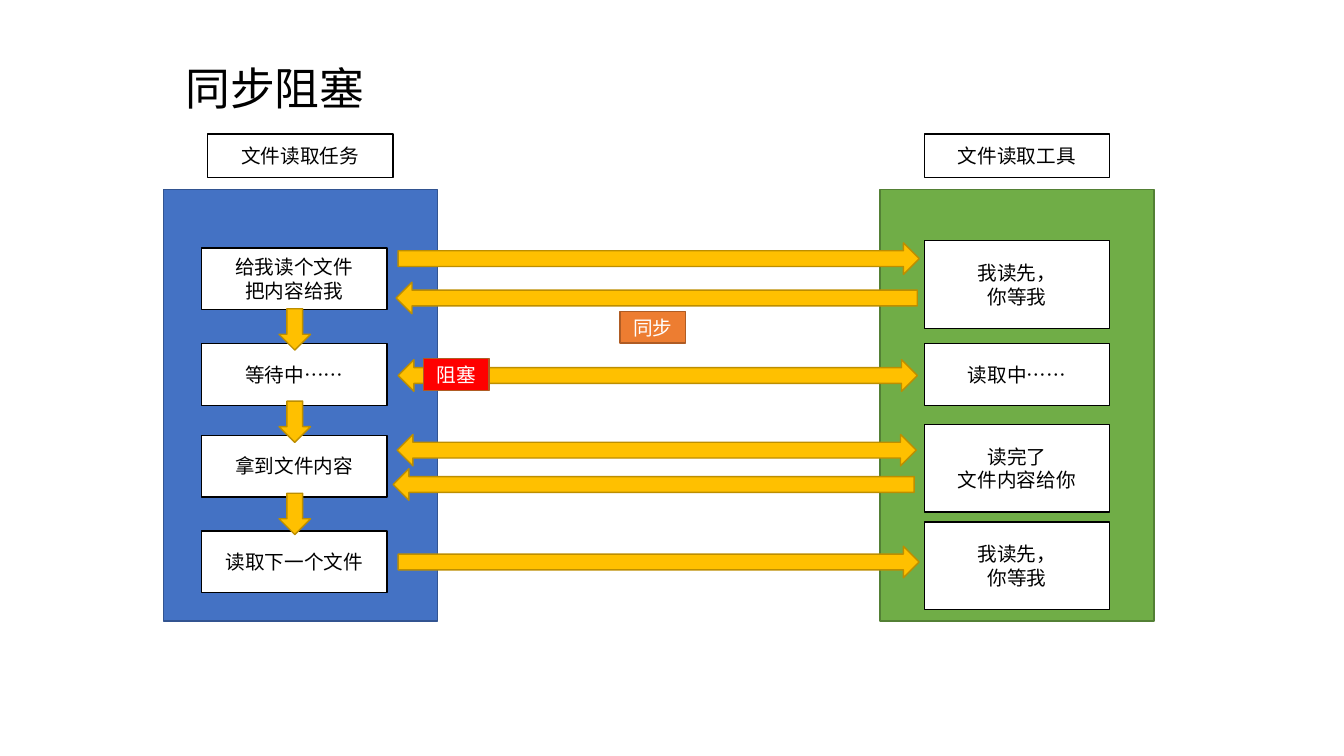
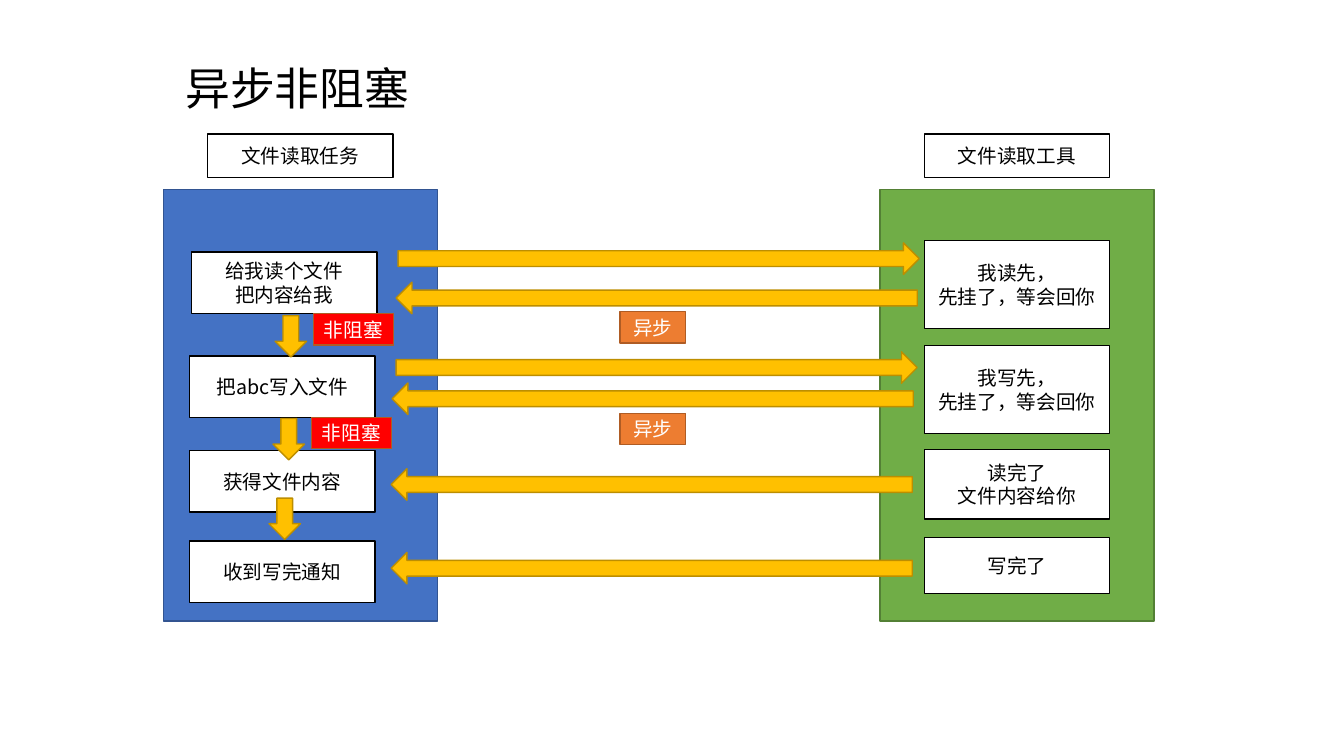
from dataclasses import dataclass

from lxml import etree
from pptx import Presentation
from pptx.dml.color import RGBColor
from pptx.enum.shapes import MSO_SHAPE
from pptx.enum.text import MSO_ANCHOR, MSO_AUTO_SIZE, PP_ALIGN
from pptx.oxml.ns import qn
from pptx.util import Pt

RECTANGLE = MSO_SHAPE.RECTANGLE
RIGHT_ARROW = MSO_SHAPE.RIGHT_ARROW
TWO_WAY_ARROW = MSO_SHAPE.LEFT_RIGHT_ARROW
MIDDLE = MSO_ANCHOR.MIDDLE
GROW = MSO_AUTO_SIZE.SHAPE_TO_FIT_TEXT
CENTER = PP_ALIGN.CENTER
LEFT = PP_ALIGN.LEFT


@dataclass(frozen=True)
class Theme:
    """Colours as (fill, line), type sizes in points."""
    font: str = "Noto Sans CJK SC"
    title_size: int = 32
    body_size: int = 14
    dark: str = "000000"
    light: str = "FFFFFF"
    task: tuple = ("4472C4", "325491")
    tool: tuple = ("70AD47", "538035")
    box: tuple = ("FFFFFF", "000000")
    arrow: tuple = ("FFC000", "BD8E00")
    sync_tag: tuple = ("ED7D31", "AF5C24")
    block_tag: tuple = ("FF0000", "AF5C24")


THEME = Theme()

# Shared measures, in points
BOX_WIDTH = 132.5
TOOL_LEFT = 660.2
TASK_HEIGHT = 44
ARROW_HEIGHT = 22.5
ARROW_WIDTH = 372.2
TWO_WAY_WIDTH = 370.8
STEP_WIDTH = 29.5
CHAR_WIDTH = 10
TAG_PAD = 27


def write_text(shape, lines, size, color, alignment):
    frame = shape.text_frame
    frame.word_wrap = True
    for index, line in enumerate(lines):
        paragraph = frame.paragraphs[0] if index == 0 else frame.add_paragraph()
        paragraph.alignment = alignment
        run = paragraph.add_run()
        run.text = line
        run.font.name = THEME.font
        run.font.size = Pt(size)
        run.font.color.rgb = RGBColor.from_string(color)
        # Chinese characters take the East Asian typeface
        east_asian = etree.SubElement(run.font._element, qn("a:ea"))
        east_asian.set("typeface", THEME.font)


def add_block(slide, preset, left, top, width, height, colors, rotation=0):
    shape = slide.shapes.add_shape(preset, Pt(left), Pt(top), Pt(width), Pt(height))
    fill, line = colors
    shape.fill.solid()
    shape.fill.fore_color.rgb = RGBColor.from_string(fill)
    shape.line.color.rgb = RGBColor.from_string(line)
    shape.line.width = Pt(1)
    shape.shadow.inherit = False
    shape.rotation = rotation
    return shape


def add_label(slide, left, top, width, height, lines, colors=THEME.box, color=THEME.dark):
    shape = add_block(slide, RECTANGLE, left, top, width, height, colors)
    frame = shape.text_frame
    frame.vertical_anchor = MIDDLE
    frame.margin_left = frame.margin_right = Pt(3.6)
    write_text(shape, lines, THEME.body_size, color, CENTER)


def add_tag(slide, left, top, text, colors):
    width = TAG_PAD + CHAR_WIDTH * len(text)
    add_label(slide, left, top, width, ARROW_HEIGHT, [text], colors, THEME.light)


def add_message(slide, direction, left, top):
    preset, width, rotation = {
        "request": (RIGHT_ARROW, ARROW_WIDTH, 0),
        "reply": (RIGHT_ARROW, ARROW_WIDTH, 180),
        "both": (TWO_WAY_ARROW, TWO_WAY_WIDTH, 0),
        "next": (RIGHT_ARROW, STEP_WIDTH, 90),
    }[direction]
    add_block(slide, preset, left, top, width, ARROW_HEIGHT, THEME.arrow, rotation)


def add_frame(slide, title):
    """Title, the two columns and their headings."""
    box = slide.shapes.add_textbox(Pt(125.3), Pt(39.6), Pt(349.2), Pt(46))
    write_text(box, [title], THEME.title_size, THEME.dark, LEFT)
    box.text_frame.auto_size = GROW
    columns = [(116.6, 148.3, "文件读取任务", THEME.task),
               (628.6, TOOL_LEFT, "文件读取工具", THEME.tool)]
    for left, heading_left, heading, colors in columns:
        add_block(slide, RECTANGLE, left, 135.4, 195.8, 308.2, colors)
        add_label(slide, heading_left, 95.8, BOX_WIDTH, 31, [heading])


def add_diagram(presentation, title, tasks, tools, messages, tags):
    slide = presentation.slides.add_slide(presentation.slide_layouts[6])
    add_frame(slide, title)
    for left, top, *lines in tasks:
        add_label(slide, left, top, BOX_WIDTH, TASK_HEIGHT, lines)
    for top, height, *lines in tools:
        add_label(slide, TOOL_LEFT, top, BOX_WIDTH, height, lines)
    for message in messages:
        add_message(slide, *message)
    for tag in tags:
        add_tag(slide, *tag)


def main():
    presentation = Presentation()
    presentation.slide_width = Pt(960)
    presentation.slide_height = Pt(540)

    # The first exchange is the same in both diagrams
    first_exchange = [("request", 284.4, 173.5), ("reply", 283, 201.6)]

    # Synchronous, blocking
    add_diagram(
        presentation, "同步阻塞",
        tasks=[(144, 177.1, "给我读个文件", "把内容给我"),
               (144, 245.5, "等待中……"),
               (144, 311, "拿到文件内容"),
               (144, 379.4, "读取下一个文件")],
        tools=[(172, 62.6, "我读先，", "你等我"),
               (245.5, 44, "读取中……"),
               (303.1, 62.6, "读完了", "文件内容给你"),
               (372.8, 62.6, "我读先，", "你等我")],
        messages=first_exchange + [
            ("both", 284.4, 257), ("both", 283.7, 310.3),
            ("reply", 280.8, 334.8), ("request", 284.4, 390.2),
            ("next", 195.8, 224), ("next", 195.8, 290), ("next", 195.8, 355.8)],
        tags=[(442.8, 222.5, "同步", THEME.sync_tag),
              (302.4, 256.3, "阻塞", THEME.block_tag)])

    # Asynchronous, non-blocking
    add_diagram(
        presentation, "异步非阻塞",
        tasks=[(136.8, 180, "给我读个文件", "把内容给我"),
               (135.4, 254.2, "把abc写入文件"),
               (135.4, 321.8, "获得文件内容"),
               (135.4, 386.6, "收到写完通知")],
        tools=[(172, 62.6, "我读先，", "先挂了，等会回你"),
               (247, 62.6, "我写先，", "先挂了，等会回你"),
               (321.1, 49.7, "读完了", "文件内容给你"),
               (383.8, 40.3, "写完了")],
        messages=first_exchange + [
            ("request", 283, 251.3), ("reply", 280.1, 273.6),
            ("reply", 279.4, 334.8), ("reply", 279.4, 394.6),
            ("next", 193, 229), ("next", 191.5, 302.4), ("next", 188.6, 359.3)],
        tags=[(442.8, 222.5, "异步", THEME.sync_tag),
              (442.8, 295.2, "异步", THEME.sync_tag),
              (223.9, 223.9, "非阻塞", THEME.block_tag),
              (222.5, 298.1, "非阻塞", THEME.block_tag)])

    presentation.save("out.pptx")


if __name__ == "__main__":
    main()
